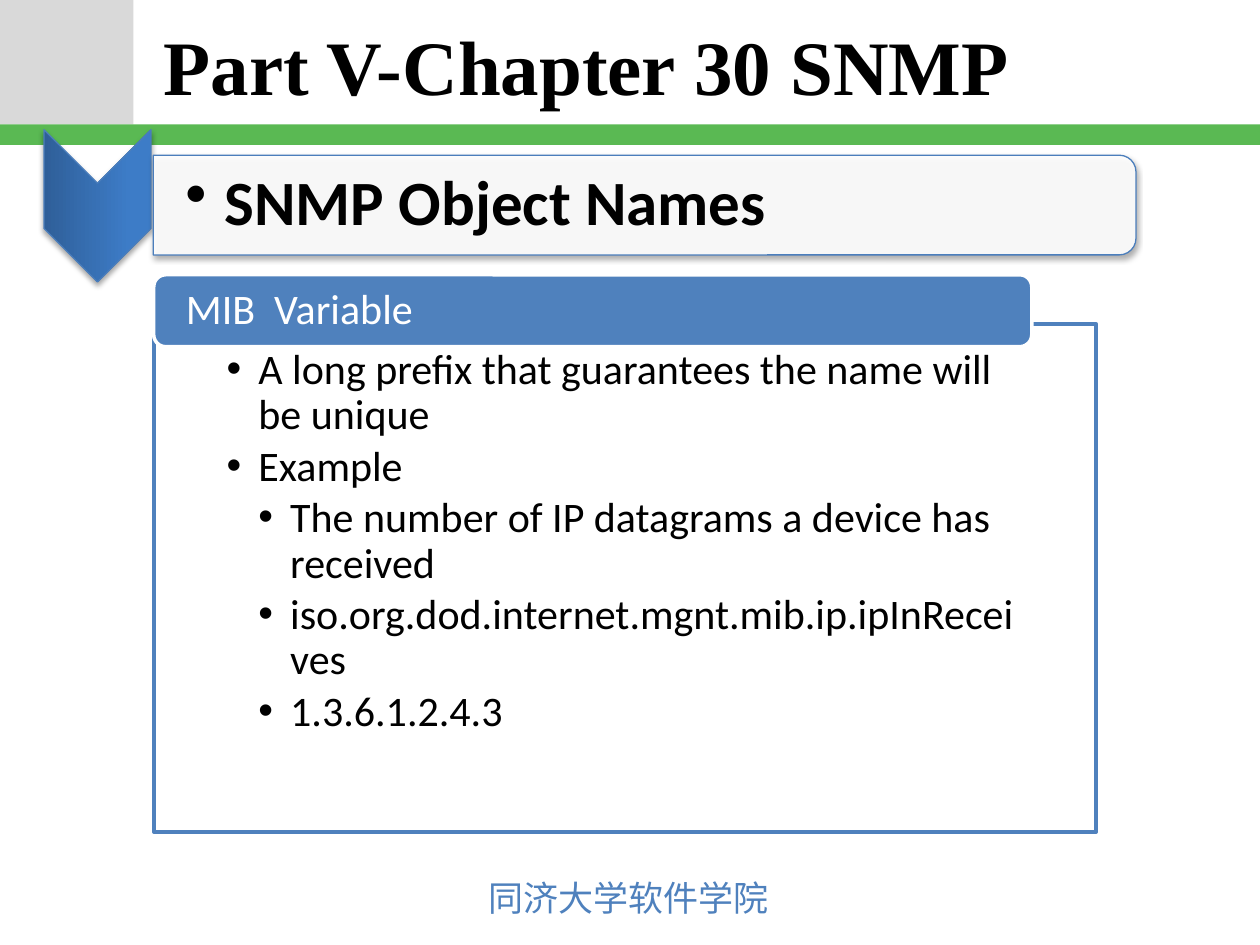
from dataclasses import dataclass

import pptx
import pptx.dml.color
import pptx.enum.shapes
import pptx.enum.text
import pptx.oxml
import pptx.oxml.ns
import pptx.util
from lxml import etree

Cm = pptx.util.Cm
Pt = pptx.util.Pt
qn = pptx.oxml.ns.qn
SHAPES = pptx.enum.shapes.MSO_SHAPE
ANCHOR = pptx.enum.text.MSO_ANCHOR


@dataclass(frozen=True)
class Theme:
    black: str = "000000"
    white: str = "FFFFFF"
    gray: str = "D9D9D9"
    green: str = "5AB953"
    blue: str = "4F81BD"
    outline: str = "4B7EBC"
    gradient: tuple = ("2F5F99", "3D7CC7")
    title_font: str = "Times New Roman"
    body_font: str = "Calibri"
    footer_font: str = "Noto Sans CJK JP"
    title_size: int = 44
    heading_size: int = 36
    body_size: int = 24
    footer_size: int = 20


class SlideBuilder:
    def __init__(self, slide, theme):
        self.slide = slide
        self.theme = theme

    def color(self, value):
        return pptx.dml.color.RGBColor.from_string(value)

    def place(self, shape, box):
        shape.left, shape.top, shape.width, shape.height = map(Cm, box)

    def paint(self, shape, fill, line=None, weight=0.75, opacity=100):
        shape.fill.solid()
        shape.fill.fore_color.rgb = self.color(fill)
        if opacity < 100:
            solid = shape._element.spPr.find(qn("a:solidFill"))
            etree.SubElement(solid[0], qn("a:alpha"), val=str(opacity * 1000))
        self.outline(shape, line, weight)

    def outline(self, shape, line, weight=0.75):
        if line is None:
            shape.line.fill.background()
        else:
            shape.line.color.rgb = self.color(line)
            shape.line.width = Pt(weight)

    def shape(self, kind, box, fill, **style):
        shape = self.slide.shapes.add_shape(kind, *map(Cm, box))
        shape.shadow.inherit = False
        self.paint(shape, fill, **style)
        return shape

    def cast_shadow(self, shape):
        effects = shape._element.spPr.find(qn("a:effectLst"))
        shadow = etree.SubElement(
            effects, qn("a:outerShdw"), blurRad=str(Pt(3.1)), dist=str(Pt(1.8)),
            dir="5400000", rotWithShape="0")
        shade = etree.SubElement(shadow, qn("a:srgbClr"), val=self.theme.black)
        etree.SubElement(shade, qn("a:alpha"), val="35000")

    def chevron(self, box):
        shape = self.shape(SHAPES.CHEVRON, box, self.theme.blue, line=self.theme.outline)
        shape.rotation = 90
        shape.fill.gradient()
        shape.fill.gradient_angle = 90
        for stop, position, value in zip(
                shape.fill.gradient_stops, (0, 0.8), self.theme.gradient):
            stop.position = position
            stop.color.rgb = self.color(value)
        self.cast_shadow(shape)

    def heading_tab(self, box):
        shape = self.shape(SHAPES.ROUND_2_SAME_RECTANGLE, box, self.theme.white,
                           line=self.theme.outline, opacity=90)
        shape.rotation = 90
        self.cast_shadow(shape)

    def frame_text(self, shape, anchor, insets=(0.25, 0.13, 0.25, 0.13), wrap=True):
        frame = shape.text_frame
        frame.word_wrap = wrap
        frame.auto_size = pptx.enum.text.MSO_AUTO_SIZE.NONE
        frame.vertical_anchor = anchor
        (frame.margin_left, frame.margin_top,
         frame.margin_right, frame.margin_bottom) = map(Cm, insets)
        return frame

    def format(self, paragraph, font, size, color, bold=False, spacing=1.0, after=0):
        paragraph.alignment = pptx.enum.text.PP_ALIGN.LEFT
        paragraph.line_spacing = spacing
        paragraph.space_before = Pt(0)
        paragraph.space_after = Pt(after)
        for run in paragraph.runs:
            run.font.name = font
            run.font.size = Pt(size)
            run.font.bold = bold
            run.font.color.rgb = self.color(color)

    def bullet(self, paragraph, indent, hanging):
        properties = paragraph._p.get_or_add_pPr()
        properties.set("marL", str(Cm(indent)))
        properties.set("indent", str(-Cm(hanging)))
        etree.SubElement(properties, qn("a:buChar"), char="•")

    def title(self, text, box):
        shape = self.slide.shapes.title
        self.place(shape, box)
        frame = self.frame_text(shape, ANCHOR.MIDDLE)
        frame.text = text
        self.format(frame.paragraphs[0], self.theme.title_font,
                    self.theme.title_size, self.theme.black, bold=True)

    def body(self, items, box):
        shape = self.slide.placeholders[1]
        self.place(shape, box)
        self.paint(shape, self.theme.white, self.theme.blue, 2, opacity=90)
        frame = self.frame_text(shape, ANCHOR.TOP, (1.47, 0.48, 1.47, 0.48))
        frame.text = "\n".join(text for level, text in items)
        for paragraph, (level, text) in zip(frame.paragraphs, items):
            paragraph.level = level
            self.bullet(paragraph, 0.64 * level, 0.64)
            self.format(paragraph, self.theme.body_font, self.theme.body_size,
                        self.theme.black, spacing=0.9, after=3.6)

    def heading(self, text, box):
        shape = self.slide.shapes.add_textbox(*map(Cm, box))
        frame = self.frame_text(shape, ANCHOR.MIDDLE, (0.64, 0.05, 0.05, 0.05))
        frame.text = text
        paragraph = frame.paragraphs[0]
        self.bullet(paragraph, 0.79, 0.79)
        self.format(paragraph, self.theme.body_font, self.theme.heading_size,
                    self.theme.black, bold=True, spacing=0.9)

    def label(self, text, box):
        shape = self.shape(SHAPES.ROUNDED_RECTANGLE, box, self.theme.blue,
                           line=self.theme.white, weight=2)
        frame = self.frame_text(shape, ANCHOR.MIDDLE, (0.58, 0, 0.58, 0))
        frame.text = text
        self.format(frame.paragraphs[0], self.theme.body_font,
                    self.theme.body_size, self.theme.white, spacing=0.9)

    def footer(self, text, box):
        shape = self.slide.shapes.add_textbox(*map(Cm, box))
        frame = self.frame_text(shape, ANCHOR.TOP, wrap=False)
        frame.text = text
        paragraph = frame.paragraphs[0]
        self.format(paragraph, self.theme.footer_font,
                    self.theme.footer_size, self.theme.blue)
        properties = paragraph.runs[0].font._element
        etree.SubElement(properties, qn("a:ea"), typeface=self.theme.footer_font)


def main():
    presentation = pptx.Presentation()
    presentation.slide_width = Cm(25.4)
    presentation.slide_height = Cm(19.05)
    slide = presentation.slides.add_slide(presentation.slide_layouts[1])
    theme = Theme()
    builder = SlideBuilder(slide, theme)

    builder.shape(SHAPES.RECTANGLE, (0, 0, 2.69, 2.51), theme.gray)
    builder.shape(SHAPES.RECTANGLE, (0, 2.51, 25.4, 0.41), theme.green)
    builder.footer("同济大学软件学院", (9.6, 17.53, 6.22, 1.12))
    builder.title("Part V-Chapter 30 SNMP", (3.05, 0.05, 21.84, 2.49))
    builder.chevron((0.43, 3.07, 3.07, 2.16))
    builder.heading_tab((11.99, -5.77, 2.01, 19.81))
    builder.heading("SNMP Object Names", (3.1, 3.23, 19.71, 1.8))
    builder.body([
        (1, "A long prefix that guarantees the name will be unique"),
        (1, "Example"),
        (2, "The number of IP datagrams a device has received"),
        (2, "iso.org.dod.internet.mgnt.mib.ip.ipInReceives"),
        (2, "1.3.6.1.2.4.3"),
    ], (3.1, 6.53, 19, 10.24))
    builder.label("MIB  Variable", (3.1, 5.54, 17.7, 1.45))
    presentation.save("out.pptx")


if __name__ == "__main__":
    main()
